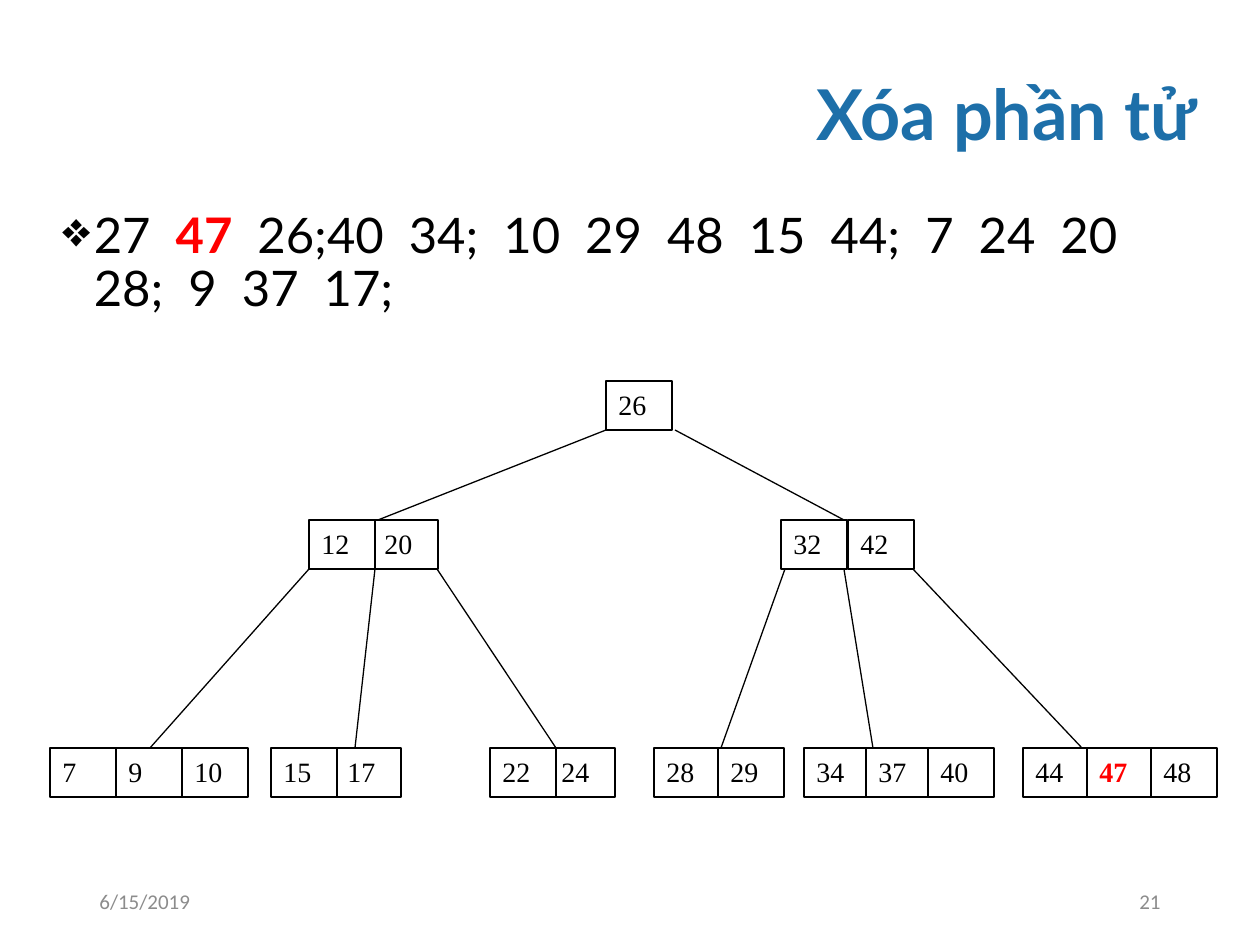
from lxml import etree
from pptx import Presentation
from pptx.dml.color import RGBColor
from pptx.enum.shapes import MSO_CONNECTOR, MSO_SHAPE
from pptx.enum.text import MSO_ANCHOR, PP_ALIGN
from pptx.oxml.ns import qn
from pptx.util import Inches, Pt

LEFT, RIGHT = PP_ALIGN.LEFT, PP_ALIGN.RIGHT
TOP, MIDDLE = MSO_ANCHOR.TOP, MSO_ANCHOR.MIDDLE
RECTANGLE, STRAIGHT = MSO_SHAPE.RECTANGLE, MSO_CONNECTOR.STRAIGHT

BLACK = RGBColor(0x00, 0x00, 0x00)
WHITE = RGBColor(0xFF, 0xFF, 0xFF)
RED = RGBColor(0xFF, 0x00, 0x00)
BLUE = RGBColor(0x1D, 0x6F, 0xA9)
GRAY = RGBColor(0x8C, 0x8C, 0x8C)

SCALE = Inches(1) / 126
CELL_W, CELL_H = 66, 49
ROOT_Y, INNER_Y, LEAF_Y = 381, 520, 748
REMOVED = "47"

KEY_RUNS = [
    "27\u00a0 ",
    REMOVED,
    "\u00a0 26;40\u00a0 34;\u00a0 10\u00a0 29\u00a0 48\u00a0 15\u00a0 44;"
    "\u00a0 7\u00a0 24\u00a0 20\u00a0 28;\u00a0 9\u00a0 37\u00a0 17;",
]

# left, top, step between cells, keys, whether the left cell lies on top
NODES = [
    (606, ROOT_Y, 66, ["26"], False),
    (309, INNER_Y, 63, ["12", "20"], True),
    (781, INNER_Y, 67, ["32", "42"], False),
    (50, LEAF_Y, 66, ["7", "9", "10"], False),
    (271, LEAF_Y, 64, ["15", "17"], True),
    (490, LEAF_Y, 59, ["22", "24"], True),
    (654, LEAF_Y, 64, ["28", "29"], False),
    (804, LEAF_Y, 62, ["34", "37", "40"], False),
    (1023, LEAF_Y, 64, ["44", "47", "48"], False),
]

ROOT_EDGES = [(606, 378), (675, 844)]
INNER_EDGES = [(309, 150), (375, 355), (437, 556),
               (785, 721), (844, 873), (913, 1082)]


def px(n):
    return round(n * SCALE)


def box(x, y, w, h):
    return px(x), px(y), px(w), px(h)


def style(r, font, size, color, bold=False):
    r.font.name = font
    r.font.size = Pt(size)
    r.font.color.rgb = color
    r.font.bold = bold


def add_title(s, text):
    sp = s.shapes.title
    sp.left, sp.top, sp.width, sp.height = box(50, 50, 1159, 136)
    tf = sp.text_frame
    tf.text = text
    tf.vertical_anchor = MIDDLE
    p = tf.paragraphs[0]
    p.alignment = RIGHT
    p.line_spacing = 0.9
    style(p.runs[0], "Lato", 40, BLUE, True)


def add_text_box(s, bounds, anchor, align):
    tf = s.shapes.add_textbox(*box(*bounds)).text_frame
    tf.word_wrap = True
    tf.vertical_anchor = anchor
    p = tf.paragraphs[0]
    p.alignment = align
    return p


def add_key_list(s):
    p = add_text_box(s, (50, 205, 1159, 651), TOP, LEFT)
    p.line_spacing = 0.9
    p.space_before = Pt(10)
    pPr = p._p.get_or_add_pPr()
    pPr.set("marL", str(Inches(0.25)))
    pPr.set("indent", str(-Inches(0.25)))
    etree.SubElement(pPr, qn("a:buChar")).set("char", "❖")
    for text in KEY_RUNS:
        r = p.add_run()
        r.text = text
        removed = text == REMOVED
        style(r, "Lato", 28, RED if removed else BLACK, removed)


def add_footer(s, x, text, align):
    p = add_text_box(s, (x, 876, 284, 50), MIDDLE, align)
    p.text = text
    style(p.runs[0], "Calibri", 12, GRAY)


def add_cell(s, x, y, key):
    sp = s.shapes.add_shape(RECTANGLE, *box(x, y, CELL_W, CELL_H))
    sp.shadow.inherit = False
    sp.fill.solid()
    sp.fill.fore_color.rgb = WHITE
    sp.line.color.rgb = BLACK
    sp.line.width = Pt(0.75)
    tf = sp.text_frame
    tf.text = key
    tf.vertical_anchor = TOP
    p = tf.paragraphs[0]
    p.alignment = LEFT
    removed = key == REMOVED
    style(p.runs[0], "Times New Roman", 16, RED if removed else BLACK, removed)


def add_node(s, x, y, step, keys, left_on_top):
    cells = [(x + i * step, key) for i, key in enumerate(keys)]
    for cell_x, key in reversed(cells) if left_on_top else cells:
        add_cell(s, cell_x, y, key)


def add_edges(s, parent_y, child_y, edges):
    for x1, x2 in edges:
        line = s.shapes.add_connector(
            STRAIGHT, px(x1), px(parent_y + CELL_H), px(x2), px(child_y))
        line.line.color.rgb = BLACK
        line.line.width = Pt(0.75)
        etree.SubElement(line._element.spPr, qn("a:effectLst"))


def main():
    prs = Presentation()
    prs.slide_width, prs.slide_height = Inches(10), Inches(7.5)
    s = prs.slides.add_slide(prs.slide_layouts[5])
    add_title(s, "Xóa phần tử")
    add_key_list(s)
    add_footer(s, 87, "6/15/2019", LEFT)
    add_footer(s, 889, "21", RIGHT)
    for node in NODES:
        add_node(s, *node)
    add_edges(s, ROOT_Y, INNER_Y, ROOT_EDGES)
    add_edges(s, INNER_Y, LEAF_Y, INNER_EDGES)
    prs.save("out.pptx")


if __name__ == "__main__":
    main()
